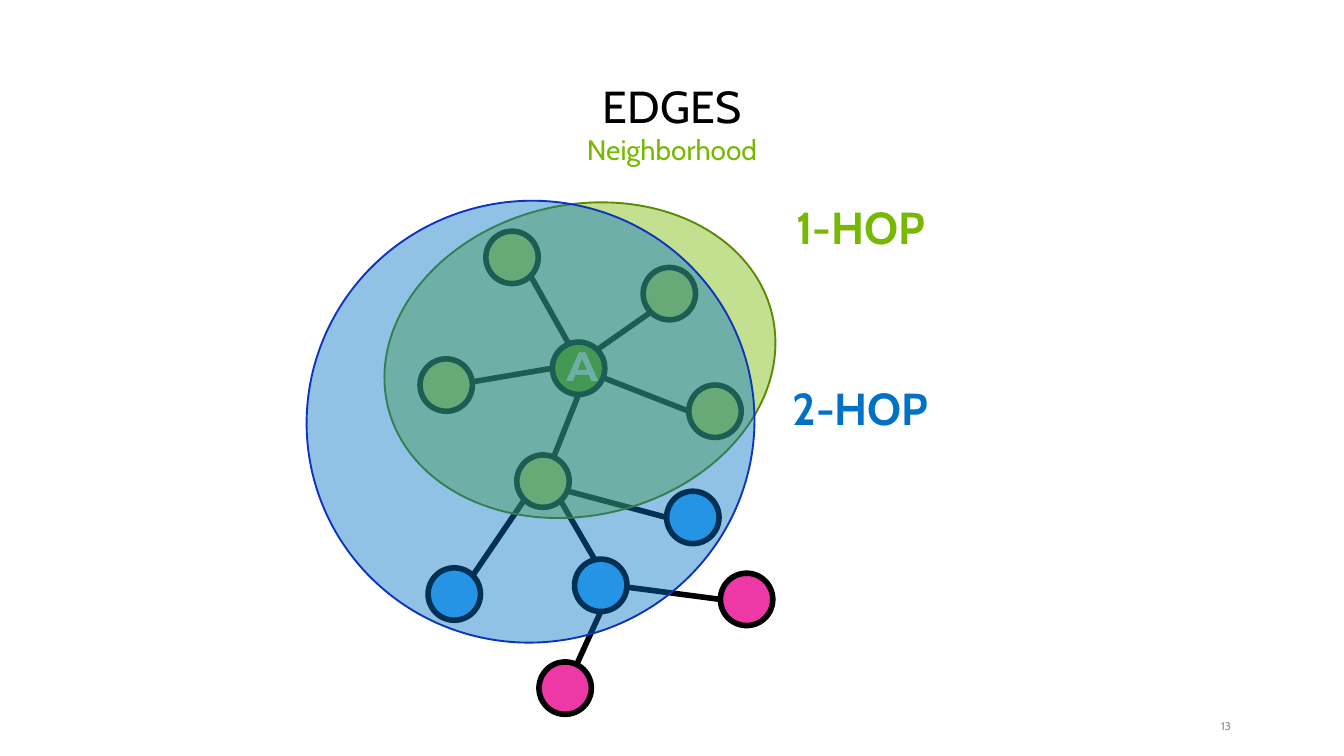
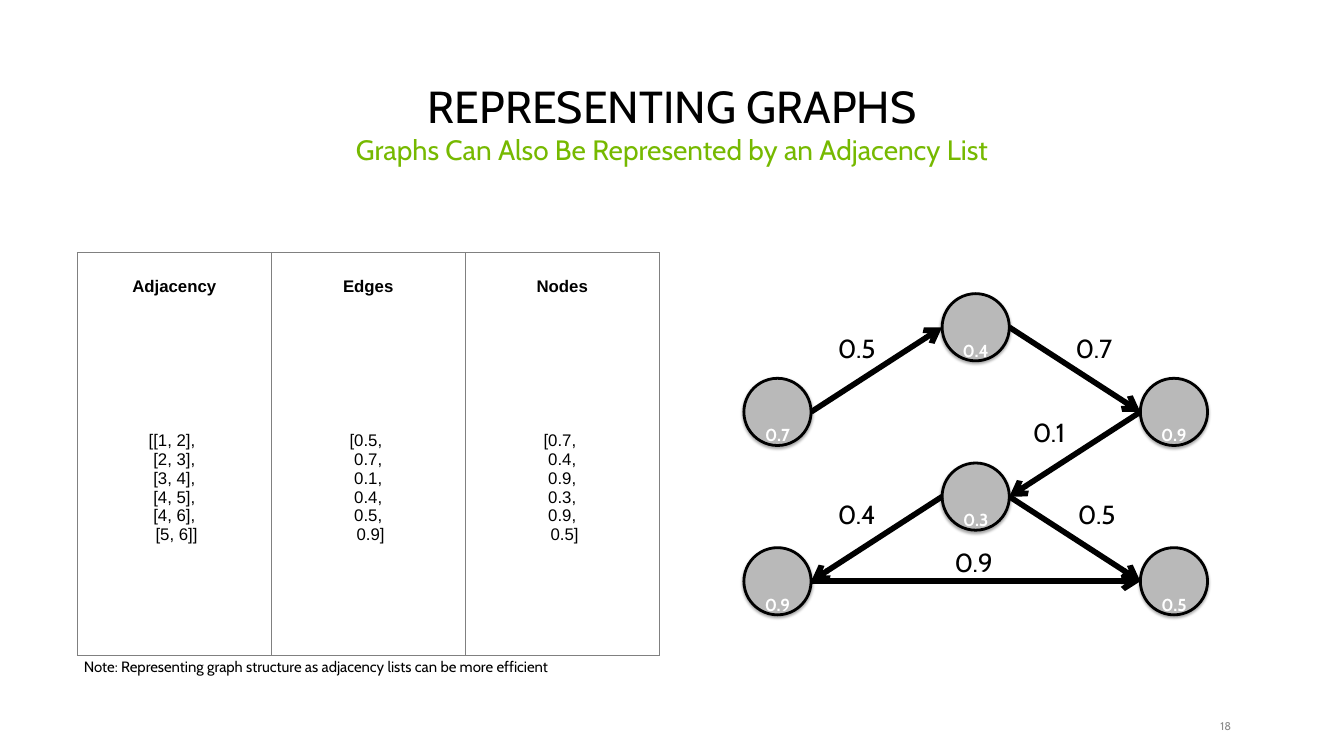
from dataclasses import dataclass
from math import cos, radians, sin
from typing import NamedTuple, Optional

from lxml import etree
from pptx import Presentation
from pptx.dml.color import RGBColor
from pptx.enum.shapes import MSO_CONNECTOR, MSO_SHAPE
from pptx.enum.text import MSO_ANCHOR, PP_ALIGN
from pptx.oxml.ns import qn
from pptx.util import Emu, Inches, Pt

STRAIGHT = MSO_CONNECTOR.STRAIGHT
OVAL = MSO_SHAPE.OVAL
TOP, MIDDLE, BOTTOM = MSO_ANCHOR.TOP, MSO_ANCHOR.MIDDLE, MSO_ANCHOR.BOTTOM
LEFT, CENTER, RIGHT = PP_ALIGN.LEFT, PP_ALIGN.CENTER, PP_ALIGN.RIGHT

SLIDE_WIDTH, SLIDE_HEIGHT = Inches(20), Inches(11.25)
COLUMNS, ROWS = 20, 11.25


@dataclass(frozen=True)
class TextStyle:
    size: float
    color: str
    font: str = "Cabin"
    bold: bool = False
    align: PP_ALIGN = CENTER
    spacing: float = 0.9
    baseline: int = 0


@dataclass(frozen=True)
class Theme:
    black: str = "000000"
    lime: str = "76B900"
    lime_edge: str = "598B00"
    blue: str = "0071C5"
    blue_edge: str = "0C34BD"
    first_hop: str = "EAED6D"
    second_hop: str = "43AFFF"
    far: str = "EE38A6"
    vertex: str = "B9B9B9"
    rule: str = "808080"
    edge_width: float = 6
    title: TextStyle = TextStyle(48, "000000")
    subtitle: TextStyle = TextStyle(30, "76B900")
    number: TextStyle = TextStyle(12, "8C8C8C", align=RIGHT, spacing=1)
    letter: TextStyle = TextStyle(44, "FFFFFF", "Montserrat", True)
    one_hop: TextStyle = TextStyle(48, "76B900", bold=True)
    two_hop: TextStyle = TextStyle(48, "0071C5", bold=True)
    value: TextStyle = TextStyle(32, "FFFFFF", bold=True, spacing=2.5, baseline=30000)
    weight: TextStyle = TextStyle(28, "000000")
    heading: TextStyle = TextStyle(18, "000000", "Arial", True, spacing=1)
    listing: TextStyle = TextStyle(18, "000000", "Arial", spacing=1)
    note: TextStyle = TextStyle(16, "000000", align=LEFT)


THEME = Theme()


class Box(NamedTuple):
    column: float
    row: float
    columns: float
    rows: float


class Node(NamedTuple):
    column: float
    row: float
    color: str
    label: str = ""


class Edge(NamedTuple):
    start: str
    start_angle: float
    end: str
    end_angle: float
    weight: str = ""
    weight_column: float = 0
    weight_row: float = 0


class Hop(NamedTuple):
    area: Box
    fill: str
    outline: str
    label: str
    label_row: float
    style: TextStyle


class NodeLook(NamedTuple):
    radius: float
    outline: float
    style: TextStyle
    insets: tuple = (0.1, 0.05)
    shadow: bool = False


def across(columns: float) -> Emu:
    return Emu(round(SLIDE_WIDTH * columns / COLUMNS))


def down(rows: float) -> Emu:
    return Emu(round(SLIDE_HEIGHT * rows / ROWS))


def place(box: Box) -> tuple:
    return across(box.column), down(box.row), across(box.columns), down(box.rows)


def rgb(color: str) -> RGBColor:
    return RGBColor.from_string(color)


def write(frame, text: str, style: TextStyle, insets: tuple = (0.1, 0.05)) -> None:
    frame.margin_left = frame.margin_right = across(insets[0])
    frame.margin_top = frame.margin_bottom = down(insets[1])
    style_text(frame, text, style)


def style_text(frame, text: str, style: TextStyle) -> None:
    frame.text = text
    for paragraph in frame.paragraphs:
        paragraph.alignment = style.align
        paragraph.line_spacing = style.spacing
        font = paragraph.font
        font.name, font.size, font.bold = style.font, Pt(style.size), style.bold
        font.color.rgb = rgb(style.color)
        if style.baseline:
            for run in paragraph.runs:
                run._r.get_or_add_rPr().set("baseline", str(style.baseline))


def add_text(slide, box: Box, text: str, style: TextStyle, anchor=MIDDLE,
             insets: tuple = (0.1, 0.05)) -> None:
    frame = slide.shapes.add_textbox(*place(box)).text_frame
    frame.word_wrap = True
    frame.vertical_anchor = anchor
    write(frame, text, style, insets)


def add_oval(slide, box: Box, fill: str, outline: str, width: float):
    oval = slide.shapes.add_shape(OVAL, *place(box))
    oval.shadow.inherit = False
    oval.fill.solid()
    oval.fill.fore_color.rgb = rgb(fill)
    oval.line.color.rgb = rgb(outline)
    oval.line.width = Pt(width)
    return oval


def add_alpha(color, percent: int) -> None:
    etree.SubElement(color, qn("a:alpha")).set("val", str(percent * 1000))


def cast_shadow(shape) -> None:
    effects = shape._element.spPr.find(qn("a:effectLst"))
    shadow = etree.SubElement(effects, qn("a:outerShdw"), blurRad=str(Pt(3.1)),
                              dist=str(Pt(1.8)), dir="5400000", rotWithShape="0")
    add_alpha(etree.SubElement(shadow, qn("a:srgbClr"), val=THEME.black), 34)


def add_node(slide, node: Node, look: NodeLook) -> None:
    size = 2 * look.radius
    box = Box(node.column - look.radius, node.row - look.radius, size, size)
    circle = add_oval(slide, box, node.color, THEME.black, look.outline)
    if look.shadow:
        cast_shadow(circle)
    if node.label:
        circle.text_frame.vertical_anchor = MIDDLE
        write(circle.text_frame, node.label, look.style, look.insets)


def rim(node: Node, radius: float, angle: float) -> tuple:
    turn = radians(angle)
    return across(node.column + radius * cos(turn)), down(node.row + radius * sin(turn))


def add_edge(slide, edge: Edge, nodes: dict, radius: float) -> None:
    link = slide.shapes.add_connector(STRAIGHT, *rim(nodes[edge.start], radius, edge.start_angle),
                                      *rim(nodes[edge.end], radius, edge.end_angle))
    link.line.color.rgb = rgb(THEME.black)
    link.line.width = Pt(THEME.edge_width)
    etree.SubElement(link._element.spPr, qn("a:effectLst"))
    if edge.weight:
        etree.SubElement(link.line._get_or_add_ln(), qn("a:tailEnd"), type="arrow")
        add_text(slide, Box(edge.weight_column, edge.weight_row, 1, 0.53), edge.weight, THEME.weight)


def add_graph(slide, nodes: dict, edges: list, look: NodeLook) -> None:
    for node in nodes.values():
        add_node(slide, node, look)
    for edge in edges:
        add_edge(slide, edge, nodes, look.radius)


def add_hop(slide, hop: Hop) -> None:
    oval = add_oval(slide, hop.area, hop.fill, hop.outline, 2)
    oval.rotation = 346.5
    add_alpha(oval._element.spPr.find(qn("a:solidFill"))[0], 43)
    add_text(slide, Box(11.26, hop.label_row, 3.1, 0.72), hop.label, hop.style, BOTTOM)


def border(cell, side: str, color: Optional[str]) -> None:
    line = etree.SubElement(cell._tc.get_or_add_tcPr(), qn(f"a:{side}"), w=str(Pt(1)))
    if color:
        fill = etree.SubElement(line, qn("a:solidFill"))
        etree.SubElement(fill, qn("a:srgbClr"), val=color)
    else:
        etree.SubElement(line, qn("a:noFill"))


def list_lines(values: list) -> str:
    return "[" + ", \n ".join(values) + "]"


def add_lists(slide, box: Box, lists: dict) -> None:
    table = slide.shapes.add_table(2, len(lists), *place(box)).table
    table.first_row = table.horz_banding = False
    table.rows[0].height, table.rows[1].height = down(1), down(box.rows - 1)
    for index, (heading, values) in enumerate(lists.items()):
        table.columns[index].width = across(box.columns / len(lists))
        contents = ((heading, THEME.heading, "lnB"), (list_lines(values), THEME.listing, "lnT"))
        for row, (text, style, open_side) in enumerate(contents):
            cell = table.cell(row, index)
            cell.vertical_anchor = MIDDLE
            style_text(cell.text_frame, text, style)
            for side in ("lnL", "lnR", "lnT", "lnB"):
                border(cell, side, None if side == open_side else THEME.rule)
            cell.fill.background()


def new_slide(deck, title: str, subtitle: str, number: str):
    slide = deck.slides.add_slide(deck.slide_layouts[6])
    add_text(slide, Box(17.73, 10.71, 0.59, 0.2), number, THEME.number, insets=(0, 0))
    add_text(slide, Box(0.91, 0.95, 18.18, 1.08), title, THEME.title, BOTTOM)
    add_text(slide, Box(0.91, 1.98, 18.18, 0.96), subtitle, THEME.subtitle, TOP)
    return slide


def build_neighborhood(deck) -> None:
    slide = new_slide(deck, "EDGES", "Neighborhood", "13")
    nodes = {
        "north": Node(7.62, 3.83, THEME.first_hop),
        "northeast": Node(9.96, 4.37, THEME.first_hop),
        "west": Node(6.64, 5.73, THEME.first_hop),
        "south": Node(8.08, 7.16, THEME.first_hop),
        "east": Node(10.64, 6.12, THEME.first_hop),
        "A": Node(8.61, 5.48, THEME.lime, "A"),
        "second east": Node(10.31, 7.7, THEME.second_hop),
        "second west": Node(6.76, 8.84, THEME.second_hop),
        "second south": Node(8.94, 8.71, THEME.second_hop),
        "far south": Node(8.41, 10.24, THEME.far),
        "far east": Node(11.11, 8.92, THEME.far),
    }
    edges = [
        Edge("west", -7, "A", 180),
        Edge("north", 45, "A", 248),
        Edge("A", -45, "northeast", 135),
        Edge("south", -66, "A", 90),
        Edge("A", 21, "east", 180),
        Edge("second west", -45, "south", 135),
        Edge("south", 48, "second south", 257),
        Edge("south", 22, "second east", 180),
        Edge("far south", -64, "second south", 90),
        Edge("second south", 4, "far east", 180),
    ]
    add_graph(slide, nodes, edges, NodeLook(0.39, 6, THEME.letter))
    for hop in (
        Hop(Box(5.69, 3.05, 5.88, 4.62), THEME.lime, THEME.lime_edge, "1-HOP", 3.11, THEME.one_hop),
        Hop(Box(4.56, 2.99, 6.67, 6.57), THEME.blue, THEME.blue_edge, "2-HOP", 5.81, THEME.two_hop),
    ):
        add_hop(slide, hop)


def build_adjacency_list(deck) -> None:
    slide = new_slide(deck, "REPRESENTING GRAPHS",
                      "Graphs Can Also Be Represented by an Adjacency List", "18")
    values = ["0.7", "0.4", "0.9", "0.3", "0.9", "0.5"]
    steps = [(0, 1), (1, 0), (2, 1), (1, 2), (0, 3), (2, 3)]
    nodes = {
        str(index): Node(11.57 + 2.95 * column, 4.87 + 1.26 * row, THEME.vertex, value)
        for index, (value, (column, row)) in enumerate(zip(values, steps), 1)
    }
    edges = [
        Edge("1", 0, "2", 180, "0.5", 12.25, 4.95),
        Edge("2", 0, "3", 180, "0.7", 15.78, 4.95),
        Edge("3", 180, "4", 0, "0.1", 15.11, 6.2),
        Edge("4", 180, "5", 0, "0.4", 12.25, 7.41),
        Edge("4", 0, "6", 180, "0.5", 15.82, 7.41),
        Edge("5", 0, "6", 180, "0.9", 13.99, 8.13),
    ]
    add_graph(slide, nodes, edges, NodeLook(0.5, 3, THEME.value, (0.12, 0.06), True))
    add_lists(slide, Box(1.15, 3.76, 8.66, 6), {
        "Adjacency": [f"[{edge.start}, {edge.end}]" for edge in edges],
        "Edges": [edge.weight for edge in edges],
        "Nodes": values,
    })
    add_text(slide, Box(1.15, 9.76, 8.66, 0.34),
             "Note: Representing graph structure as adjacency lists can be more efficient", THEME.note)


def main() -> None:
    deck = Presentation()
    deck.slide_width, deck.slide_height = SLIDE_WIDTH, SLIDE_HEIGHT
    build_neighborhood(deck)
    build_adjacency_list(deck)
    deck.save("out.pptx")


if __name__ == "__main__":
    main()
